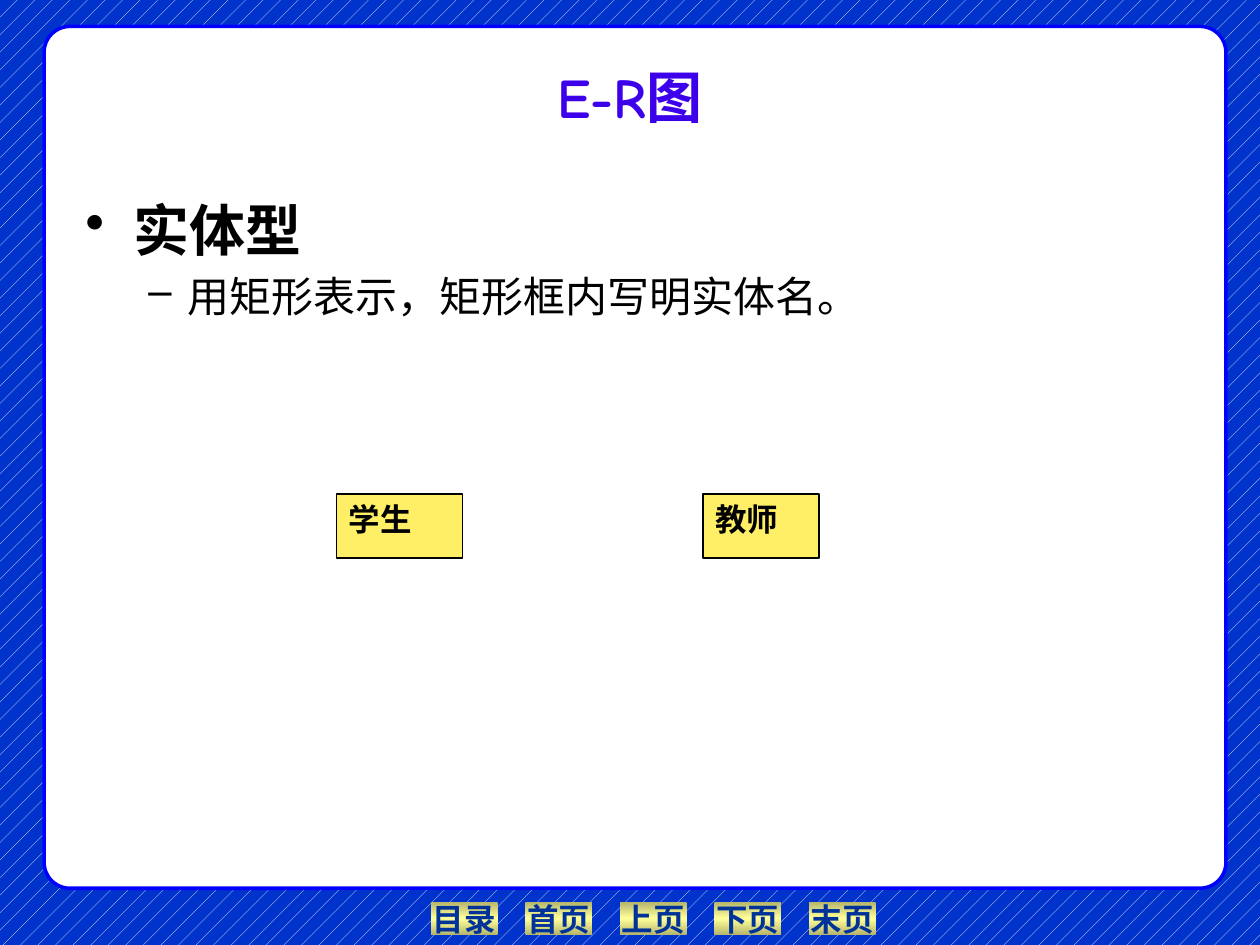
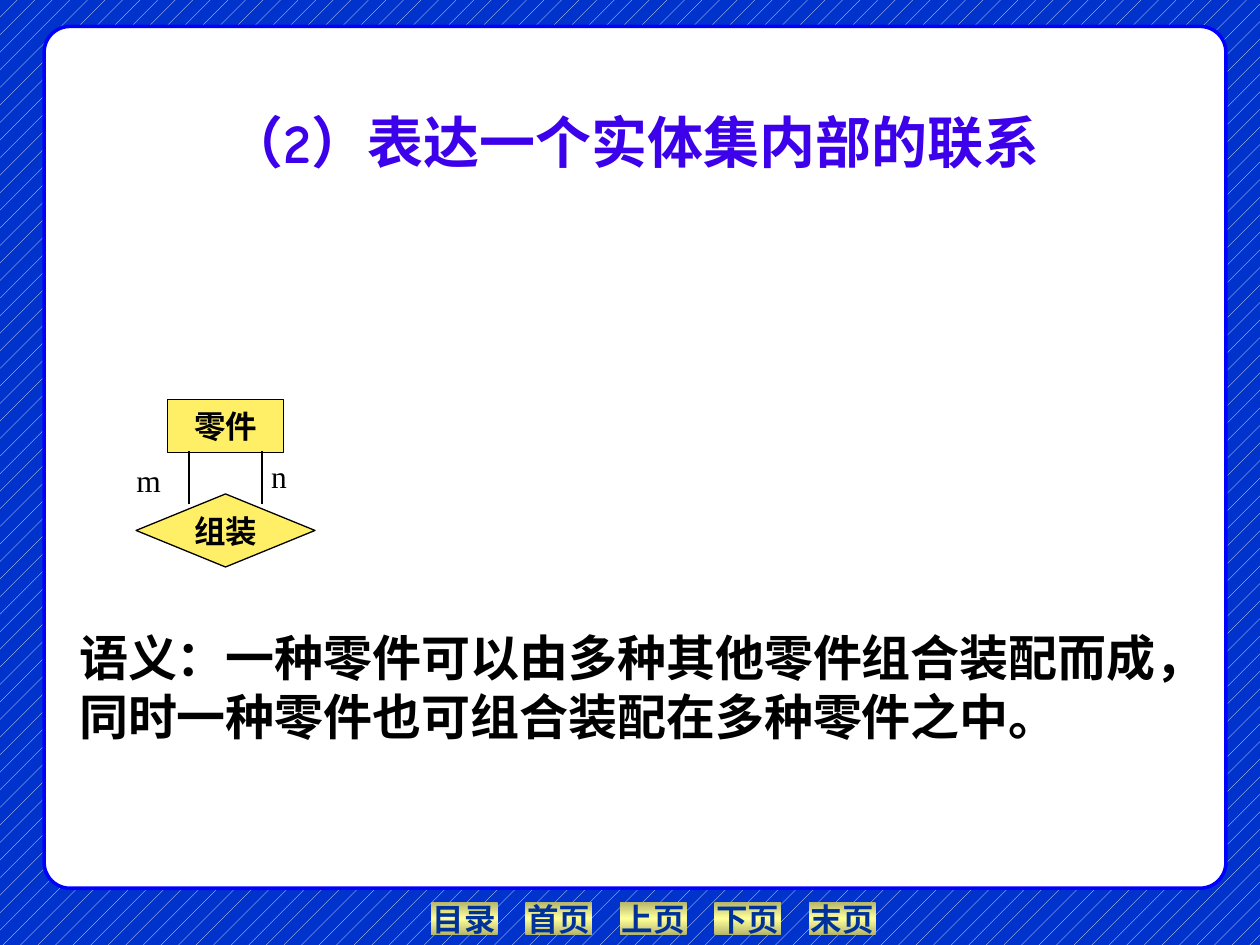
from copy import deepcopy

from lxml.etree import SubElement
from pptx import Presentation
from pptx.dml.color import RGBColor
from pptx.enum.dml import MSO_PATTERN
from pptx.enum.shapes import MSO_CONNECTOR, MSO_SHAPE
from pptx.enum.text import MSO_ANCHOR, PP_ALIGN
from pptx.oxml.ns import qn
from pptx.util import Inches, Pt

WHITE = RGBColor(0xFF, 0xFF, 0xFF)
BLACK = RGBColor(0x00, 0x00, 0x00)
BACKDROP_BLUE = RGBColor(0x00, 0x33, 0xCC)
FRAME_BLUE = RGBColor(0x00, 0x00, 0xFF)
TITLE_VIOLET = RGBColor(0x3D, 0x00, 0xEA)
NAV_BLUE = RGBColor(0x00, 0x33, 0x99)
NAV_EDGE = RGBColor(0xB6, 0xB6, 0x6D)
NAV_CENTRE = RGBColor(0xFF, 0xFF, 0x99)
NODE_YELLOW = RGBColor(0xFF, 0xEF, 0x66)

HEADING_FONT = "Comic Neue"
TEXT_FONT = "Times New Roman"
NAV_LABELS = ["目录", "首页", "上页", "下页", "末页"]


def inches(*lengths):
    return [Inches(length) for length in lengths]


def set_font(paragraph, size, color=BLACK, bold=False, name=TEXT_FONT):
    font = paragraph.font
    font.name, font.size, font.bold = name, Pt(size), bold
    font.color.rgb = color


def write(shape, text, size, color=BLACK, bold=False, name=TEXT_FONT,
          align=PP_ALIGN.CENTER, anchor=MSO_ANCHOR.TOP, wrap=True):
    frame = shape.text_frame
    frame.word_wrap = wrap
    frame.vertical_anchor = anchor
    paragraph = frame.paragraphs[0]
    paragraph.text = text
    paragraph.alignment = align
    set_font(paragraph, size, color, bold, name)


def add_text(slide, box, text, size, **style):
    write(slide.shapes.add_textbox(*inches(*box)), text, size, **style)


def add_plain_shape(slide, preset, box):
    shape = slide.shapes.add_shape(preset, *inches(*box))
    shape.shadow.inherit = False
    return shape


def add_nav_button(slide, box, label):
    button = add_plain_shape(slide, MSO_SHAPE.ACTION_BUTTON_CUSTOM, box)
    button.line.fill.background()
    button.fill.gradient()
    first_stop = button._element.spPr.find(".//" + qn("a:gs"))
    first_stop.addnext(deepcopy(first_stop))
    colors = [NAV_EDGE, NAV_CENTRE, NAV_EDGE]
    for stop, position, color in zip(button.fill.gradient_stops, [0, 0.5, 1], colors):
        stop.position = position
        stop.color.rgb = color
    button.fill.gradient_angle = 90
    write(button, label, 18, NAV_BLUE, True, anchor=MSO_ANCHOR.MIDDLE, wrap=False)


def add_base_slide(prs):
    """Add a slide with the patterned backdrop, navigation row and white panel."""
    slide = prs.slides.add_slide(prs.slide_layouts[6])
    backdrop = slide.background.fill
    backdrop.patterned()
    backdrop.pattern = MSO_PATTERN.PERCENT_5
    backdrop.fore_color.rgb = WHITE
    backdrop.back_color.rgb = BACKDROP_BLUE
    for index, label in enumerate(NAV_LABELS):
        add_nav_button(slide, (3.42 + 0.75 * index, 7.16, 0.53, 0.26), label)
    panel = add_plain_shape(slide, MSO_SHAPE.ROUNDED_RECTANGLE, (0.35, 0.21, 9.38, 6.84))
    panel.adjustments[0] = 0.03
    panel.fill.solid()
    panel.fill.fore_color.rgb = WHITE
    panel.line.color.rgb = FRAME_BLUE
    panel.line.width = Pt(2)
    return slide


def add_title(slide, left, top, text):
    add_text(slide, (left, top, 9, 0.83), text, 32, color=TITLE_VIOLET, bold=True,
             name=HEADING_FONT, anchor=MSO_ANCHOR.BOTTOM)


def add_bullets(slide, box, items):
    """Each item is text, bullet, left margin, hanging indent, size, bold."""
    frame = slide.shapes.add_textbox(*inches(*box)).text_frame
    frame.word_wrap = True
    for index, (text, bullet, margin, hanging, size, bold) in enumerate(items):
        paragraph = frame.add_paragraph() if index else frame.paragraphs[0]
        paragraph.text = text
        paragraph.level = index
        properties = paragraph._p.get_or_add_pPr()
        properties.set("marL", str(Inches(margin)))
        properties.set("indent", str(-Inches(hanging)))
        SubElement(properties, qn("a:buChar")).set("char", bullet)
        if index:
            paragraph.space_before = Pt(0.2 * size)
        set_font(paragraph, size, bold=bold, name=HEADING_FONT)


def add_node(slide, box, label, preset=MSO_SHAPE.RECTANGLE, **style):
    node = add_plain_shape(slide, preset, box)
    node.fill.solid()
    node.fill.fore_color.rgb = NODE_YELLOW
    node.line.color.rgb = BLACK
    node.line.width = Pt(0.75)
    write(node, label, 18, bold=True, **style)


def add_link(slide, start, end):
    link = slide.shapes.add_connector(MSO_CONNECTOR.STRAIGHT, *inches(*start, *end))
    link.line.color.rgb = BLACK
    link.line.width = Pt(0.75)
    SubElement(link._element.spPr, qn("a:effectLst"))


def add_assembly_diagram(slide, left, top):
    """Draw the part entity, doubly linked to its own assembly relation."""
    centred = {"anchor": MSO_ANCHOR.MIDDLE, "wrap": False}
    add_node(slide, (left + 0.25, top, 0.92, 0.42), "零件", **centred)
    add_node(slide, (left, top + 0.75, 1.42, 0.58), "组装",
             MSO_SHAPE.FLOWCHART_DECISION, **centred)
    for x in (left + 0.42, left + 1):
        add_link(slide, (x, top + 0.41), (x, top + 0.83))
    add_text(slide, (left - 0.13, top + 0.44, 0.46, 0.5), "m", 18, wrap=False)
    add_text(slide, (left + 0.92, top + 0.41, 0.43, 0.5), "n", 18)


def build_entity_slide(prs):
    slide = add_base_slide(prs)
    add_title(slide, 0.5, 0.25, "E-R图")
    add_bullets(slide, (0.58, 1.5, 8.5, 5.17), [
        ("实体型", "•", 0.38, 0.38, 32, True),
        ("用矩形表示，矩形框内写明实体名。", "–", 0.81, 0.31, 24, False),
    ])
    for left, width, entity in [(2.67, 1, "学生"), (5.58, 0.92, "教师")]:
        add_node(slide, (left, 3.92, width, 0.51), entity, align=PP_ALIGN.LEFT)


def build_self_relation_slide(prs):
    slide = add_base_slide(prs)
    add_title(slide, 0.53, 0.61, "（2）表达一个实体集内部的联系")
    add_assembly_diagram(slide, 1.08, 3.17)
    add_text(slide, (0.53, 4.93, 9.47, 1.5),
             "语义：一种零件可以由多种其他零件组合装配而成，"
             "同时一种零件也可组合装配在多种零件之中。",
             28, bold=True, align=PP_ALIGN.LEFT)


def main():
    prs = Presentation()
    prs.slide_width, prs.slide_height = inches(10, 7.5)
    build_entity_slide(prs)
    build_self_relation_slide(prs)
    prs.save("out.pptx")


if __name__ == "__main__":
    main()
